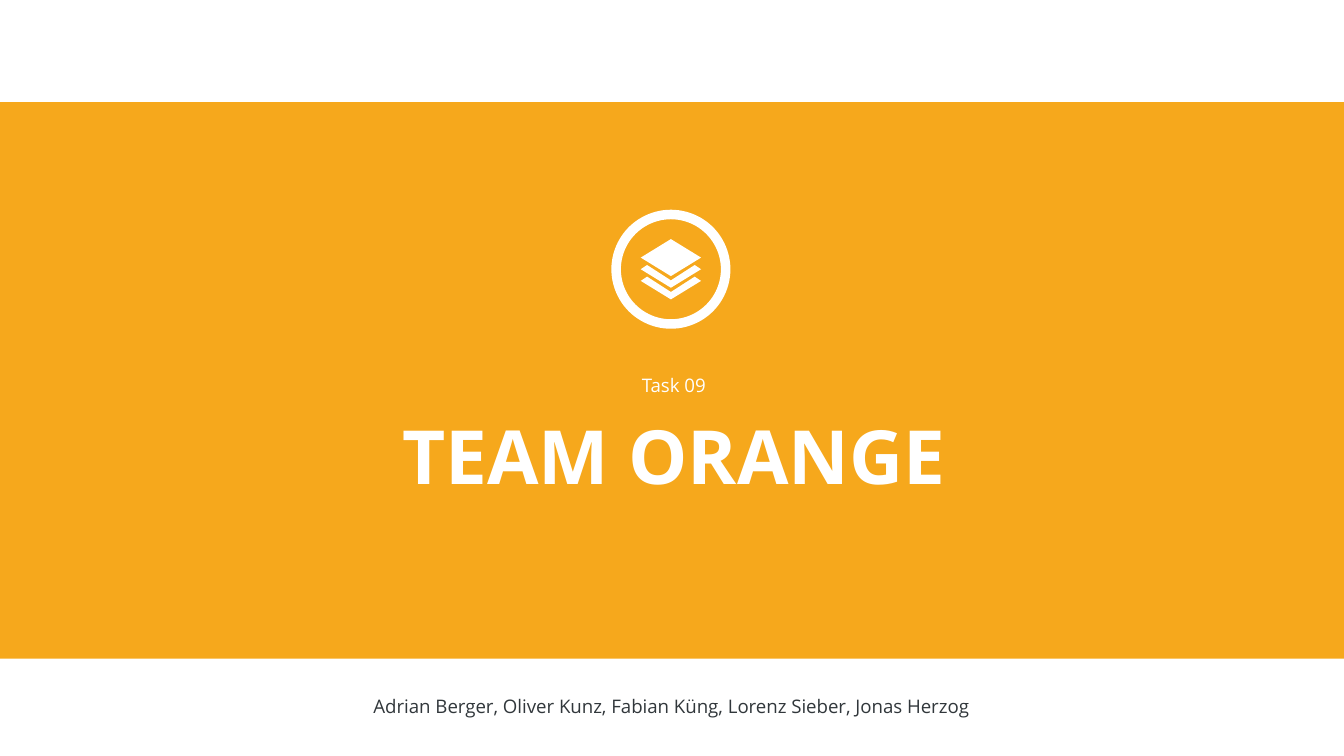
import pptx
import pptx.dml.color
import pptx.enum.shapes
import pptx.enum.text
import pptx.util
from lxml import etree
from pptx.oxml.ns import qn
from pptx.util import Cm

ORANGE = pptx.dml.color.RGBColor(0xF5, 0x9E, 0x00)
WHITE = pptx.dml.color.RGBColor(0xFF, 0xFF, 0xFF)
DARK = pptx.dml.color.RGBColor(0x31, 0x37, 0x3B)

SLIDE_WIDTH, SLIDE_HEIGHT = 25.4, 14.29
BAND_TOP, BAND_HEIGHT, BAND_OPACITY = 1.93, 10.52, 89
TEXT_WIDTH = 15.01

TITLE = {"text": "TEAM ORANGE", "left": 5.23, "top": 7.62, "height": 1.96,
         "font": {"size": 40, "bold": True, "color": WHITE}}
TASK = {"text": "Task 09", "left": 5.23, "top": 6.93, "height": 0.69,
        "font": {"size": 10, "bold": False, "color": WHITE}}
MEMBERS = {"text": "Adrian Berger, Oliver Kunz, Fabian Küng, Lorenz Sieber, Jonas Herzog",
           "left": 5.18, "top": 13, "height": 0.69,
           "font": {"size": 10, "bold": False, "color": DARK}}

# Icon: a ring around a stack of three sheets, the lower two showing as chevrons
ICON_X, ICON_Y = 12.68, 5.09
RING_SIZE, RING_THICKNESS = 2.25, 0.08
SHEET_HALF_WIDTH, SHEET_HALF_HEIGHT = 0.57, 0.35
SHEET_TOP = 4.52
CHEVRON_TOPS = (5.01, 5.23)
CHEVRON_INNER, CHEVRON_NOTCH, CHEVRON_SIDE, CHEVRON_HEIGHT = 0.45, 0.29, 0.08, 0.43


def paint(shape, color):
    shape.shadow.inherit = False
    shape.fill.solid()
    shape.fill.fore_color.rgb = color
    shape.line.fill.background()


def add_polygon(shapes, points):
    corners = [(Cm(ICON_X + x), Cm(y)) for x, y in points]
    builder = shapes.build_freeform(*corners[0])
    builder.add_line_segments(corners[1:], close=True)
    paint(builder.convert_to_shape(), WHITE)


def write_text(box, item):
    box.left, box.top = Cm(item["left"]), Cm(item["top"])
    box.width, box.height = Cm(TEXT_WIDTH), Cm(item["height"])
    frame = box.text_frame
    frame.text = item["text"]
    layout = {"word_wrap": True, "auto_size": pptx.enum.text.MSO_AUTO_SIZE.NONE,
              "vertical_anchor": pptx.enum.text.MSO_ANCHOR.MIDDLE,
              "margin_left": 0, "margin_right": 0, "margin_top": 0, "margin_bottom": 0}
    for name, value in layout.items():
        setattr(frame, name, value)
    para = frame.paragraphs[0]
    para.alignment = pptx.enum.text.PP_ALIGN.CENTER
    para.space_before = pptx.util.Pt(0)
    font = para.runs[0].font
    style = {"name": "Open Sans", "size": pptx.util.Pt(item["font"]["size"]),
             "bold": item["font"]["bold"]}
    for name, value in style.items():
        setattr(font, name, value)
    font.color.rgb = item["font"]["color"]


def add_band(shapes):
    band = shapes.add_shape(pptx.enum.shapes.MSO_SHAPE.RECTANGLE, 0, Cm(BAND_TOP),
                            Cm(SLIDE_WIDTH), Cm(BAND_HEIGHT))
    paint(band, ORANGE)
    color = band.fill._xPr.find(qn("a:solidFill"))[0]
    etree.SubElement(color, qn("a:alpha"), val=str(BAND_OPACITY * 1000))
    # Behind the placeholders
    shapes._spTree.insert(2, band._element)


def add_icon(shapes):
    ring = shapes.add_shape(pptx.enum.shapes.MSO_SHAPE.DONUT,
                            Cm(ICON_X - RING_SIZE / 2), Cm(ICON_Y - RING_SIZE / 2),
                            Cm(RING_SIZE), Cm(RING_SIZE))
    ring.adjustments[0] = RING_THICKNESS
    paint(ring, WHITE)
    for top in CHEVRON_TOPS:
        add_polygon(shapes, [
            (0, top + CHEVRON_NOTCH), (-CHEVRON_INNER, top),
            (-SHEET_HALF_WIDTH, top + CHEVRON_SIDE), (0, top + CHEVRON_HEIGHT),
            (SHEET_HALF_WIDTH, top + CHEVRON_SIDE), (CHEVRON_INNER, top)])
    middle = SHEET_TOP + SHEET_HALF_HEIGHT
    add_polygon(shapes, [(-SHEET_HALF_WIDTH, middle), (0, middle + SHEET_HALF_HEIGHT),
                         (SHEET_HALF_WIDTH, middle), (0, SHEET_TOP)])


def main():
    deck = pptx.Presentation()
    deck.slide_width, deck.slide_height = Cm(SLIDE_WIDTH), Cm(SLIDE_HEIGHT)
    page = deck.slides.add_slide(deck.slide_layouts[0])
    add_band(page.shapes)
    write_text(page.shapes.title, TITLE)
    write_text(page.placeholders[1], TASK)
    add_icon(page.shapes)
    write_text(page.shapes.add_textbox(0, 0, 0, 0), MEMBERS)
    deck.save("out.pptx")


if __name__ == "__main__":
    main()
